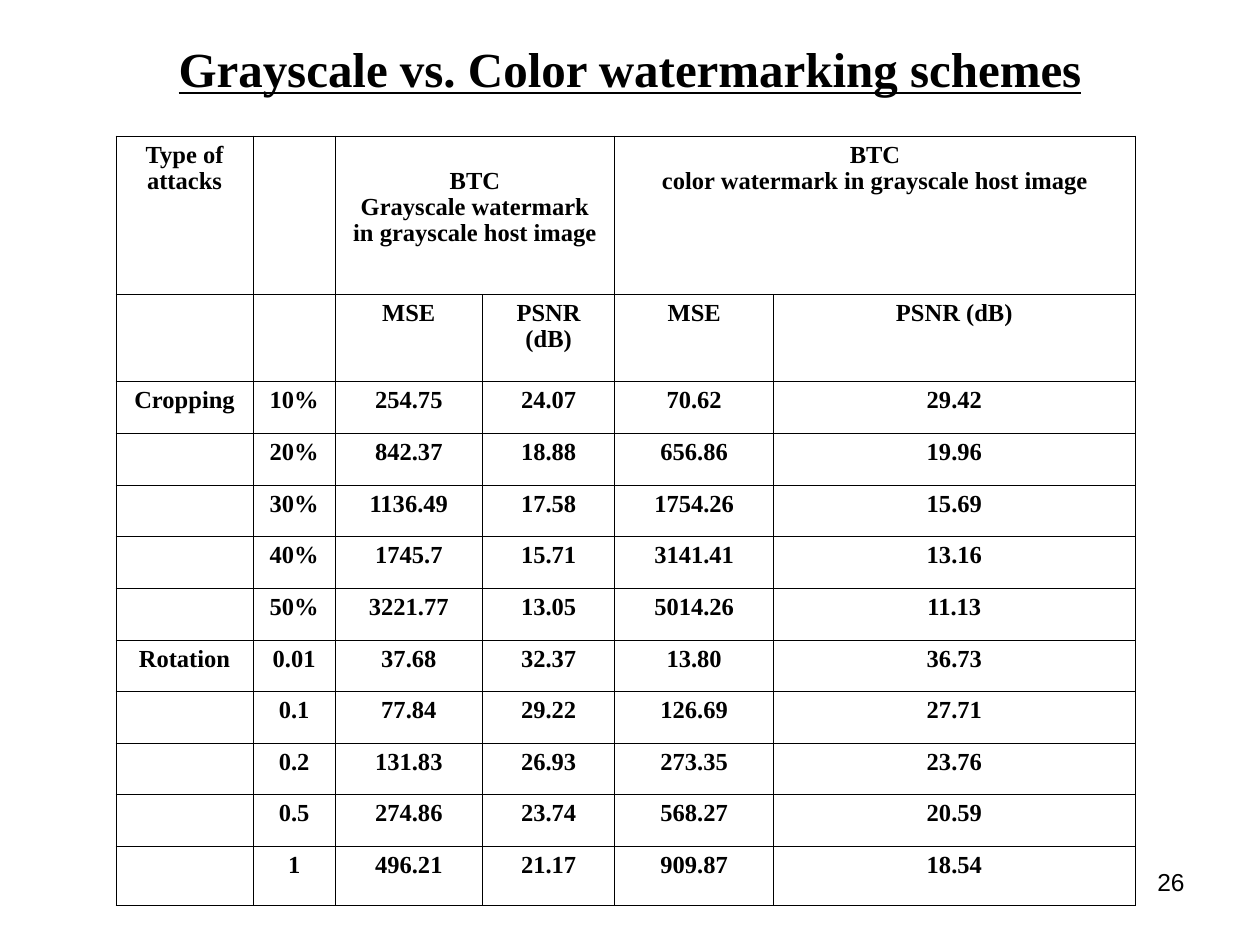
from dataclasses import dataclass
from itertools import product

from lxml.etree import SubElement
from pptx import Presentation
from pptx.dml.color import RGBColor
from pptx.enum.text import MSO_ANCHOR, MSO_AUTO_SIZE, PP_ALIGN
from pptx.oxml.ns import qn
from pptx.slide import Slide
from pptx.table import _Cell
from pptx.text.text import _Paragraph
from pptx.util import Inches, Pt

COLORS = {"text": "000000", "border": "000000"}
SERIF = "Times New Roman"
BORDER_WIDTH = Pt(0.45)
COLUMN_WIDTHS = [1.09, 0.65, 1.17, 1.05, 1.26, 2.87]
ROW_HEIGHTS = [1.26, 0.69] + [0.41] * 9 + [0.47]


@dataclass(frozen=True)
class Attack:
    name: str
    results: list[tuple[str, str, str, str, str]]


ATTACKS = [
    Attack("Cropping", [
        ("10%", "254.75", "24.07", "70.62", "29.42"),
        ("20%", "842.37", "18.88", "656.86", "19.96"),
        ("30%", "1136.49", "17.58", "1754.26", "15.69"),
        ("40%", "1745.7", "15.71", "3141.41", "13.16"),
        ("50%", "3221.77", "13.05", "5014.26", "11.13"),
    ]),
    Attack("Rotation", [
        ("0.01", "37.68", "32.37", "13.80", "36.73"),
        ("0.1", "77.84", "29.22", "126.69", "27.71"),
        ("0.2", "131.83", "26.93", "273.35", "23.76"),
        ("0.5", "274.86", "23.74", "568.27", "20.59"),
        ("1", "496.21", "21.17", "909.87", "18.54"),
    ]),
]


def table_rows() -> list[tuple[str, ...]]:
    """Headings, then one row per result; only an attack's first row names it."""
    rows = [
        ("Type of attacks", "",
         "BTC\nGrayscale watermark in grayscale host image", "",
         "BTC\ncolor watermark in grayscale host image", ""),
        ("", "") + ("MSE", "PSNR (dB)") * 2,
    ]
    for attack in ATTACKS:
        for index, result in enumerate(attack.results):
            rows.append((attack.name if index == 0 else "", *result))
    return rows


def format_paragraph(paragraph: _Paragraph, size: float, font: str = SERIF,
                     bold: bool = False, align: PP_ALIGN = PP_ALIGN.CENTER) -> None:
    paragraph.alignment = align
    paragraph.font.size = Pt(size)
    paragraph.font.name = font
    paragraph.font.bold = bold
    paragraph.font.color.rgb = RGBColor.from_string(COLORS["text"])


def set_borders(cell: _Cell) -> None:
    properties = cell._tc.get_or_add_tcPr()
    for position, side in enumerate(("a:lnL", "a:lnR", "a:lnT", "a:lnB")):
        line = SubElement(properties, qn(side), w=str(int(BORDER_WIDTH)))
        fill = SubElement(line, qn("a:solidFill"))
        SubElement(fill, qn("a:srgbClr"), val=COLORS["border"])
        properties.insert(position, line)


def add_title(slide: Slide, text: str) -> None:
    title = slide.shapes.title
    title.left, title.top = Inches(0.5), Inches(0.08)
    title.width, title.height = Inches(9), Inches(0.92)
    frame = title.text_frame
    frame.text = text
    frame.auto_size = MSO_AUTO_SIZE.NONE
    frame.vertical_anchor = MSO_ANCHOR.MIDDLE
    format_paragraph(frame.paragraphs[0], 28, bold=True)
    frame.paragraphs[0].font.underline = True


def add_results_table(slide: Slide) -> None:
    rows = table_rows()
    table = slide.shapes.add_table(
        len(rows), len(COLUMN_WIDTHS), Inches(0.92), Inches(1.08),
        Inches(sum(COLUMN_WIDTHS)), Inches(sum(ROW_HEIGHTS))).table
    table.first_row = False
    table.horz_banding = False
    for column, width in zip(table.columns, COLUMN_WIDTHS):
        column.width = Inches(width)
    for row, height in zip(table.rows, ROW_HEIGHTS):
        row.height = Inches(height)
    for first in (2, 4):
        table.cell(0, first).merge(table.cell(0, first + 1))
    for row, column in product(range(len(rows)), range(len(COLUMN_WIDTHS))):
        cell = table.cell(row, column)
        cell.fill.background()
        set_borders(cell)
        if cell.is_spanned:
            continue
        cell.text = rows[row][column]
        for paragraph in cell.text_frame.paragraphs:
            format_paragraph(paragraph, 14, bold=True)
            paragraph.line_spacing = 0.96
    table.cell(0, 2).margin_top = Inches(0.26)


def add_page_number(slide: Slide, number: str) -> None:
    box = slide.shapes.add_textbox(
        Inches(7.17), Inches(6.83), Inches(2.33), Inches(0.52))
    box.text_frame.word_wrap = True
    box.text_frame.text = number
    format_paragraph(box.text_frame.paragraphs[0], 14, "Arial", align=PP_ALIGN.RIGHT)


def main() -> None:
    presentation = Presentation()
    presentation.slide_width, presentation.slide_height = Inches(10), Inches(7.5)
    slide = presentation.slides.add_slide(
        presentation.slide_layouts.get_by_name("Title Only"))
    add_title(slide, "Grayscale vs. Color watermarking schemes")
    add_results_table(slide)
    add_page_number(slide, "26")
    presentation.save("out.pptx")


if __name__ == "__main__":
    main()
